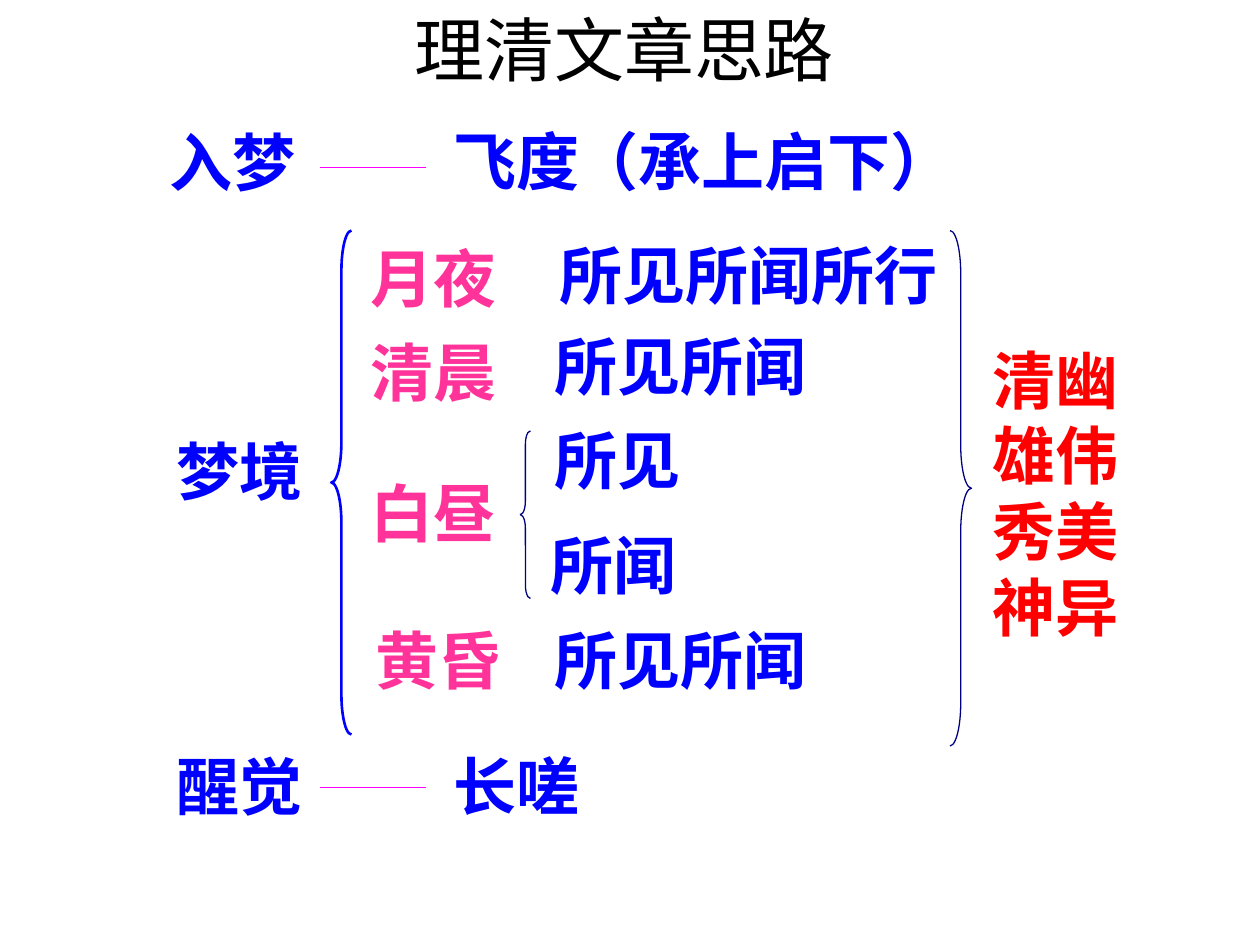
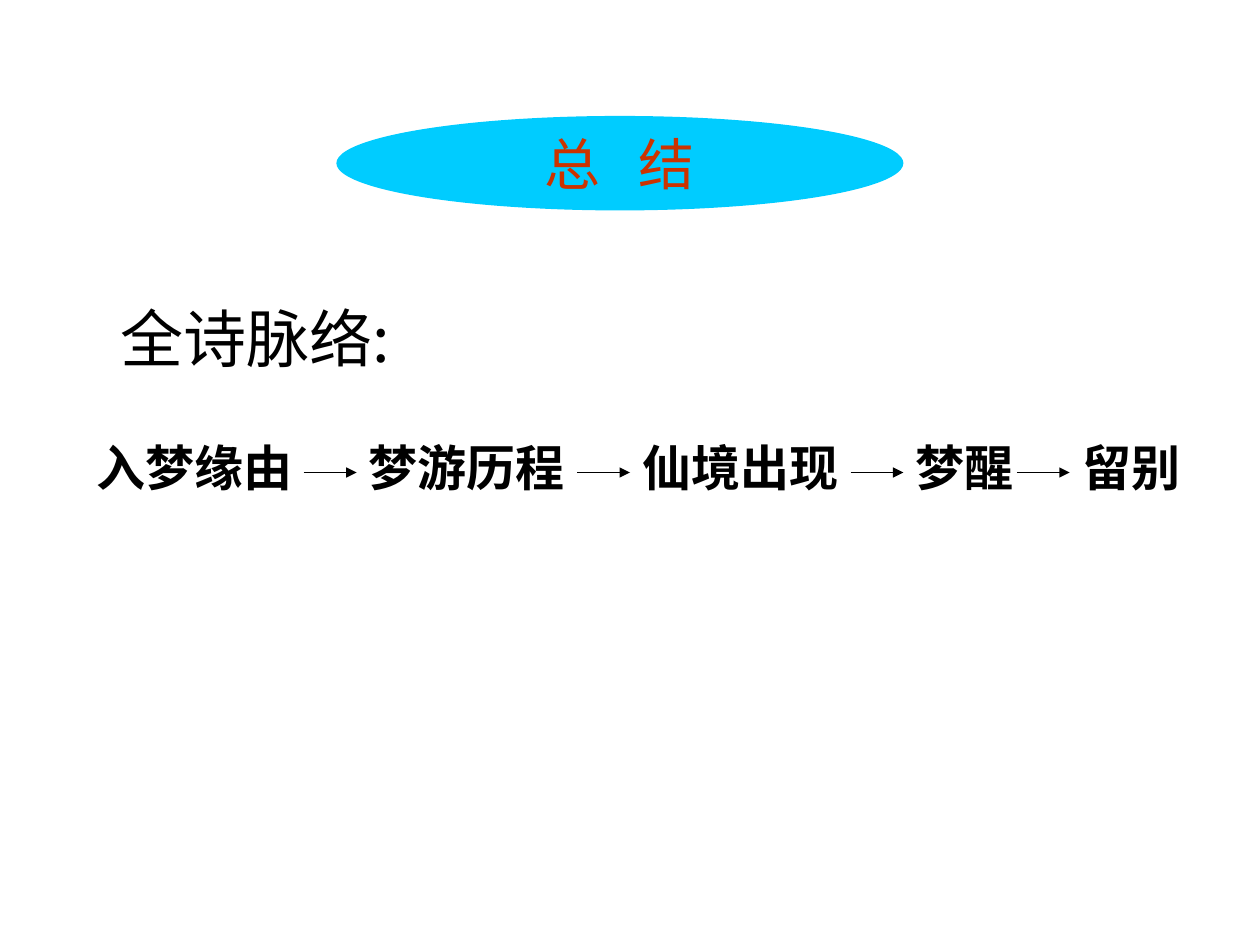
"""Build two slides on a dream poem: its outline and its summary flow."""
from dataclasses import dataclass

from lxml.etree import SubElement
from pptx import Presentation
from pptx.dml.color import RGBColor
from pptx.enum.shapes import MSO_CONNECTOR as Connector, MSO_SHAPE as Shape
from pptx.enum.text import MSO_ANCHOR as Anchor, MSO_AUTO_SIZE as AutoSize, PP_ALIGN as Align
from pptx.oxml.ns import qn
from pptx.util import Emu, Pt


@dataclass(frozen=True)
class Theme:
    blue: str = "0000FF"
    navy: str = "000080"
    pink: str = "FF3399"
    magenta: str = "FF00FF"
    red: str = "FF0000"
    rust: str = "CC3300"
    cyan: str = "00CCFF"
    black: str = "000000"
    serif: str = "Times New Roman"
    sans: str = "Arial"
    chinese: str = "Noto Sans CJK SC"
    title: int = 40
    body: int = 36
    badge: int = 32
    step: int = 28
    thin: float = 0.75
    thick: float = 1.5


THEME = Theme()
EMU_PER_PX = 9144
LINE_HEIGHT = 60
BOX_PADDING = 10


def px(length):
    return Emu(length * EMU_PER_PX)


def style_font(font, size, color, name, bold=False):
    font.size = Pt(size)
    font.name = name
    font.bold = bold
    font.color.rgb = RGBColor.from_string(color)


def add_text(page, left, top, width, lines, size, color, name=THEME.serif, bold=True, wrap=False):
    height = LINE_HEIGHT * len(lines) + BOX_PADDING
    box = page.shapes.add_textbox(px(left), px(top), px(width), px(height))
    frame = box.text_frame
    frame.word_wrap = wrap
    frame.auto_size = AutoSize.SHAPE_TO_FIT_TEXT
    frame.text = "\n".join(lines)
    for para in frame.paragraphs:
        style_font(para.font, size, color, name, bold)


def add_label(page, left, top, text, color=THEME.blue):
    add_text(page, left, top, 50 * len(text) + 20, [text], THEME.body, color)


def add_line(page, start, end, y, color, arrow=False):
    line = page.shapes.add_connector(Connector.STRAIGHT, px(start), px(y), px(end), px(y))
    line.line.color.rgb = RGBColor.from_string(color)
    line.line.width = Pt(THEME.thin)
    if arrow:
        SubElement(line.line._get_or_add_ln(), qn("a:tailEnd"), type="triangle")
    SubElement(line._element.spPr, qn("a:effectLst"))


def add_brace(page, kind, left, top, width, height, color, weight, curl):
    brace = page.shapes.add_shape(kind, px(left), px(top), px(width), px(height))
    brace.shadow.inherit = False
    brace.fill.background()
    brace.line.color.rgb = RGBColor.from_string(color)
    brace.line.width = Pt(weight)
    brace.adjustments[0] = curl
    brace.adjustments[1] = 0.5


def add_badge(page, left, top, width, height, first, second, gap):
    badge = page.shapes.add_shape(Shape.OVAL, px(left), px(top), px(width), px(height))
    badge.shadow.inherit = False
    badge.fill.solid()
    badge.fill.fore_color.rgb = RGBColor.from_string(THEME.cyan)
    badge.line.fill.background()
    frame = badge.text_frame
    frame.word_wrap = False
    frame.vertical_anchor = Anchor.MIDDLE
    para = frame.paragraphs[0]
    para.alignment = Align.CENTER
    spaced = para.add_run()
    spaced.text = f"{first} "
    spaced._r.get_or_add_rPr().set("spc", str(gap))
    para.add_run().text = second
    style_font(para.font, THEME.badge, THEME.rust, THEME.chinese)


def build_outline(page):
    add_text(page, 319, 0, 457, ["理清文章思路"], THEME.title, THEME.black,
             THEME.sans, bold=False, wrap=True)

    for left, top, stage in ((125, 93, "入梦"), (130, 338, "梦境"), (130, 588, "醒觉")):
        add_label(page, left, top, stage)
    for left, top, event in ((350, 92, "飞度"), (447, 92, "（承上启下）"), (350, 588, "长嗟")):
        add_label(page, left, top, event)
    for y in (133, 625):
        add_line(page, 254, 338, y, THEME.magenta)

    for left, top, time in ((284, 185, "月夜"), (284, 260, "清晨"),
                            (284, 372, "白昼"), (288, 488, "黄昏")):
        add_label(page, left, top, time, THEME.pink)
    for left, top, sight in ((434, 183, "所见所闻所行"), (430, 255, "所见所闻"), (430, 330, "所见"),
                             (427, 413, "所闻"), (430, 488, "所见所闻")):
        add_label(page, left, top, sight)

    add_brace(page, Shape.LEFT_BRACE, 263, 183, 16, 400, THEME.blue, THEME.thick, 2)
    add_brace(page, Shape.LEFT_BRACE, 413, 342, 8, 133, THEME.navy, THEME.thin, 1.33)
    add_brace(page, Shape.RIGHT_BRACE, 754, 183, 17, 409, THEME.navy, THEME.thin, 2)
    add_text(page, 778, 266, 120, ["清幽", "雄伟", "秀美", "神异"], THEME.body, THEME.red)


def build_summary(page):
    add_badge(page, 267, 92, 450, 75, "总", "结", gap=720)
    add_text(page, 86, 233, 322, ["全诗脉络:"], THEME.body, THEME.black,
             THEME.chinese, bold=False, wrap=True)
    steps = ((67, 200, "入梦缘由"), (283, 192, "梦游历程"), (500, 183, "仙境出现"),
             (717, 100, "梦醒"), (849, 109, "留别"))
    for index, (left, width, step) in enumerate(steps):
        add_text(page, left, 342, width, [step], THEME.step, THEME.black, wrap=True)
        if index:
            add_line(page, left - 42, left, 375, THEME.black, arrow=True)


def main():
    deck = Presentation()
    deck.slide_width, deck.slide_height = px(1000), px(750)
    blank = deck.slide_layouts[6]
    for build in (build_outline, build_summary):
        build(deck.slides.add_slide(blank))
    deck.save("out.pptx")


if __name__ == "__main__":
    main()
